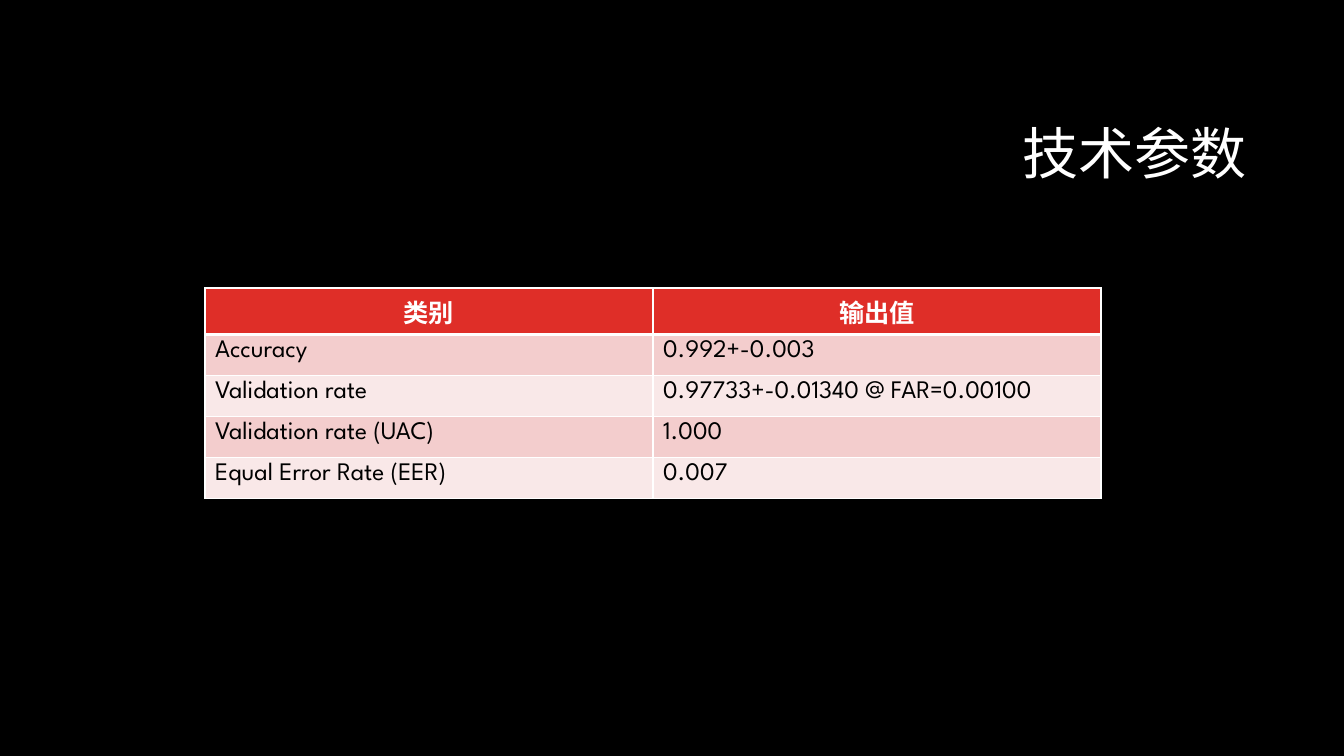
"""Builds the technical parameters slide: a right-aligned title above a table of results."""
from lxml import etree
from pptx import Presentation
from pptx.dml.color import RGBColor
from pptx.enum.text import MSO_ANCHOR, PP_ALIGN
from pptx.oxml.ns import qn
from pptx.util import Pt

MIDDLE = MSO_ANCHOR.MIDDLE
LEFT, CENTER, RIGHT = PP_ALIGN.LEFT, PP_ALIGN.CENTER, PP_ALIGN.RIGHT
PX = 12192000 / 1344
FONT = "League Spartan"
WHITE, BLACK, RED = "FFFFFF", "000000", "DF2E28"
BANDS = ["F9E8E8", "F3CDCD"]
RESULTS = [
    ("类别", "输出值"),
    ("Accuracy", "0.992+-0.003"),
    ("Validation rate", "0.97733+-0.01340 @ FAR=0.00100"),
    ("Validation rate (UAC)", "1.000"),
    ("Equal Error Rate (EER)", "0.007"),
]


def px(*lengths):
    return [round(length * PX) for length in lengths]


def style(paragraph, size, color, align, bold=False):
    paragraph.alignment = align
    font = paragraph.runs[0].font
    font.name, font.size, font.bold = FONT, Pt(size), bold
    font.color.rgb = RGBColor.from_string(color)


prs = Presentation()
prs.slide_width, prs.slide_height = px(1344, 756)
slide = prs.slides.add_slide(prs.slide_layouts[5])
slide.background.fill.solid()
slide.background.fill.fore_color.rgb = RGBColor.from_string(BLACK)

title = slide.shapes.title
title.left, title.top, title.width, title.height = px(320, 85, 949, 142)
title.text_frame.text = "技术参数 "
title.text_frame.vertical_anchor = MIDDLE
title.text_frame.paragraphs[0].line_spacing = 0.9
style(title.text_frame.paragraphs[0], 40, WHITE, RIGHT)

results = slide.shapes.add_table(len(RESULTS), 2, *px(205, 288, 896, 205)).table
for row, texts in enumerate(RESULTS):
    results.rows[row].height = px(41)[0]
    header = row == 0
    for column, text in enumerate(texts):
        cell = results.cell(row, column)
        cell.text = text
        style(cell.text_frame.paragraphs[0], 18, WHITE if header else BLACK,
              CENTER if header else LEFT, header)
        properties = cell._tc.get_or_add_tcPr()
        for side in ("L", "R", "T", "B"):
            thick = (row, side) in ((0, "B"), (1, "T"))
            border = etree.SubElement(properties, qn(f"a:ln{side}"), w=str(Pt(3 if thick else 1)))
            line_fill = etree.SubElement(border, qn("a:solidFill"))
            etree.SubElement(line_fill, qn("a:srgbClr"), val=WHITE)
        cell.fill.solid()
        cell.fill.fore_color.rgb = RGBColor.from_string(RED if header else BANDS[row % 2])

prs.save("out.pptx")
